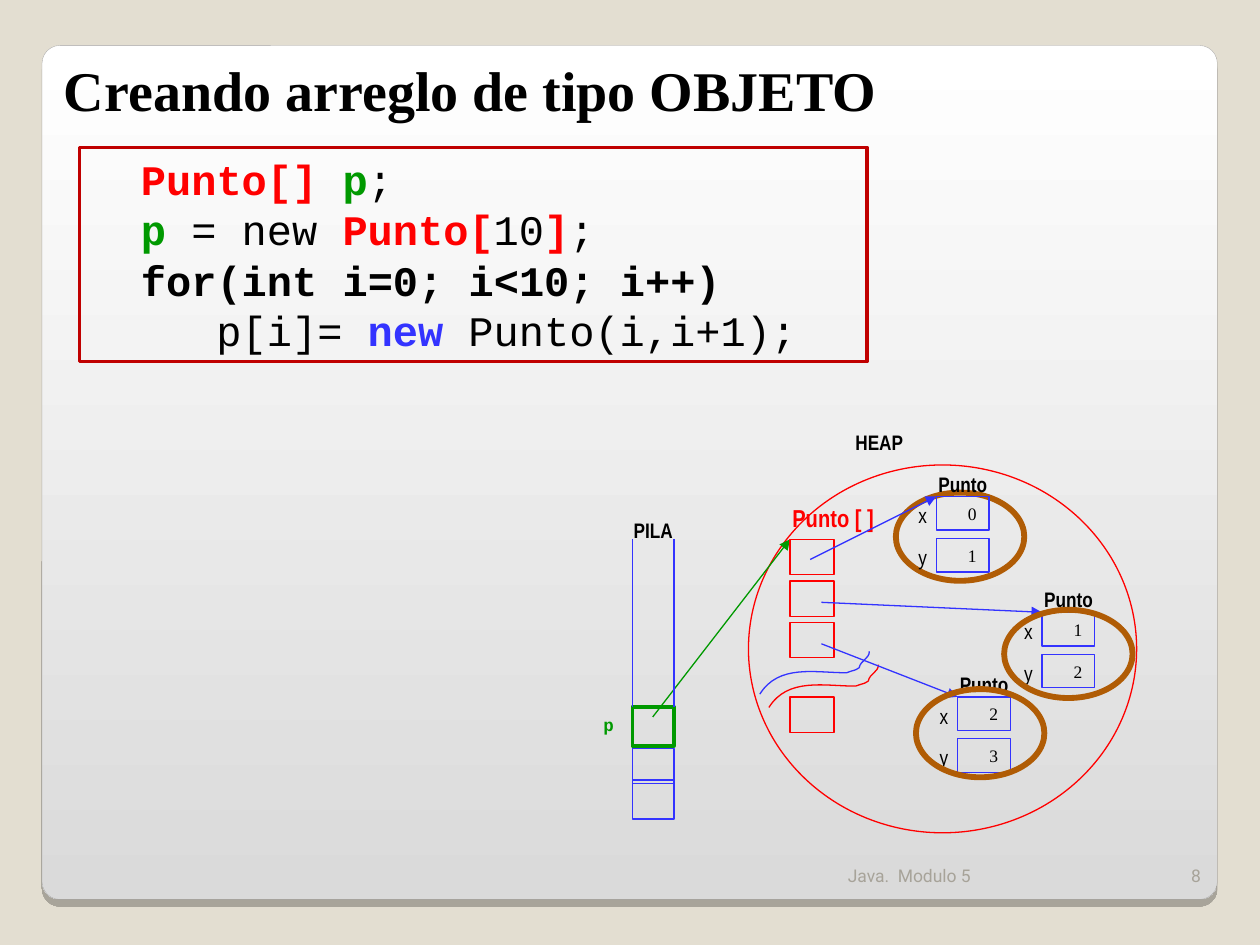
from dataclasses import dataclass

import lxml.etree
import pptx
import pptx.dml.color
import pptx.enum.shapes
import pptx.enum.text
import pptx.oxml
import pptx.oxml.ns
import pptx.util

Pt = pptx.util.Pt
SHAPE = pptx.enum.shapes.MSO_SHAPE
ALIGN = pptx.enum.text.PP_ALIGN
ANCHOR = pptx.enum.text.MSO_ANCHOR
FIT = pptx.enum.text.MSO_AUTO_SIZE
qn = pptx.oxml.ns.qn

COLORS = {
    "page": "E3DED1", "white": "FFFFFF", "gray": "DADADA", "edge": "A4A3A3",
    "footer": "A7A399", "black": "000000", "red": "FF0000", "frame": "C00000",
    "green": "009900", "blue": "3333FF", "brown": "B05C05",
}
ROW_PITCH = 24


@dataclass
class PuntoObject:
    left: float
    top: float
    x: int
    y: int
    ring_left: float
    ring_top: float


@dataclass
class Label:
    text: str
    left: float
    top: float
    width: float
    height: float
    size: float
    font: str = "Arial Narrow"
    color: str = "black"
    bold: bool = True


@dataclass
class Line:
    start: tuple[float, float]
    end: tuple[float, float]
    color: str
    arrow: bool = True


def rgb(color: str) -> pptx.dml.color.RGBColor:
    return pptx.dml.color.RGBColor.from_string(COLORS[color])


def style_font(font, name: str, size: float, color: str, bold: bool = False) -> None:
    font.name, font.size, font.bold = name, Pt(size), bold
    font.color.rgb = rgb(color)


def outline(slide, kind, left, top, width, height, color: str, weight: float = 0.75):
    shape = slide.shapes.add_shape(kind, Pt(left), Pt(top), Pt(width), Pt(height))
    shape.shadow.inherit = False
    shape.fill.background()
    shape.line.color.rgb = rgb(color)
    shape.line.width = Pt(weight)
    return shape


def draw_label(slide, label: Label):
    box = slide.shapes.add_textbox(
        Pt(label.left), Pt(label.top), Pt(label.width), Pt(label.height))
    box.text_frame.word_wrap = False
    box.text_frame.auto_size = FIT.SHAPE_TO_FIT_TEXT
    paragraph = box.text_frame.paragraphs[0]
    paragraph.text = label.text
    style_font(paragraph.font, label.font, label.size, label.color, label.bold)
    return box


def draw_footer(slide, label: Label, align) -> None:
    frame = draw_label(slide, label).text_frame
    frame.auto_size, frame.word_wrap = FIT.NONE, True
    frame.vertical_anchor = ANCHOR.BOTTOM
    frame.paragraphs[0].alignment = align


def draw_line(slide, line: Line) -> None:
    connector = slide.shapes.add_connector(
        pptx.enum.shapes.MSO_CONNECTOR.STRAIGHT,
        *(Pt(value) for value in line.start + line.end))
    connector.line.color.rgb = rgb(line.color)
    connector.line.width = Pt(0.75)
    if line.arrow:
        lxml.etree.SubElement(connector.line._get_or_add_ln(), qn("a:tailEnd"), type="triangle")
    lxml.etree.SubElement(connector._element.spPr, qn("a:effectLst"))


def draw_curve(slide, points: list[tuple[float, float]], color: str) -> None:
    builder = slide.shapes.build_freeform(
        Pt(points[0][0]), Pt(points[0][1]), scale=1.0)
    builder.add_line_segments([(Pt(x), Pt(y)) for x, y in points[1:]], close=False)
    curve = builder.convert_to_shape()
    curve.shadow.inherit = False
    curve.fill.background()
    curve.line.color.rgb = rgb(color)
    curve.line.width = Pt(0.75)
    # Each three line ends become one cubic Bézier segment
    outline_path = next(curve._element.iter(qn("a:path")))
    ends = outline_path.findall(qn("a:lnTo"))
    for first in range(0, len(ends), 3):
        bezier = lxml.etree.SubElement(outline_path, qn("a:cubicBezTo"))
        for end in ends[first:first + 3]:
            bezier.append(end[0])
            outline_path.remove(end)


def draw_ring(slide, punto: PuntoObject) -> None:
    outline(slide, SHAPE.OVAL, punto.ring_left, punto.ring_top, 73.4, 50.4, "brown", 3.34)


def draw_punto(slide, punto: PuntoObject) -> None:
    draw_label(slide, Label("Punto", punto.left - 5.8, punto.top - 18, 44, 21.6, 12))
    for row, (name, value) in enumerate((("x", punto.x), ("y", punto.y))):
        top = punto.top + row * ROW_PITCH
        cell = outline(slide, SHAPE.RECTANGLE, punto.left, top, 30.2, 19.2, "blue")
        cell.text_frame.vertical_anchor = ANCHOR.TOP
        paragraph = cell.text_frame.paragraphs[0]
        paragraph.text = str(value)
        paragraph.alignment = ALIGN.RIGHT
        style_font(paragraph.font, "Times New Roman", 10, "black")
        draw_label(slide, Label(name, punto.left - 17.3, top, 19.4, 21.6, 12, bold=False))


def draw_panel(slide) -> None:
    panel = outline(slide, SHAPE.ROUNDED_RECTANGLE, 24, 26, 671.6, 488, "edge", 0.17)
    panel.adjustments[0] = 0.021
    panel.fill.gradient()
    panel.fill.gradient_angle = 270
    for stop, color in zip(panel.fill.gradient_stops, ("white", "gray")):
        stop.color.rgb = rgb(color)
    shadow = lxml.etree.SubElement(
        panel._element.spPr.find(qn("a:effectLst")), qn("a:outerShdw"),
        blurRad="0", dist=str(Pt(4)), dir="5400000", algn="t", rotWithShape="0")
    tint = lxml.etree.SubElement(shadow, qn("a:srgbClr"), val=COLORS["black"])
    lxml.etree.SubElement(tint, qn("a:alpha"), val="25000")


def draw_code(slide) -> None:
    # Each line: left indent, then (text, colour, bold) runs
    code_lines = [
        (28, [("Punto[] ", "red", True), ("p", "green", True), (";", "black", False)]),
        (28, [("p", "green", True), (" = new ", "black", False), ("Punto[", "red", True),
              ("10", "black", False), ("]", "red", True), (";", "black", False)]),
        (28, [("for(int i=0; i<10; i++)", "black", True)]),
        (71.2, [("p[i]= ", "black", False), ("new", "blue", True),
                (" Punto(i,i+1);", "black", False)]),
    ]
    code = outline(slide, SHAPE.RECTANGLE, 45.4, 84.2, 450, 122.4, "frame", 2).text_frame
    code.vertical_anchor = ANCHOR.TOP
    for number, (indent, runs) in enumerate(code_lines):
        paragraph = code.add_paragraph() if number else code.paragraphs[0]
        paragraph.alignment = ALIGN.LEFT
        properties = paragraph._p.get_or_add_pPr()
        properties.set("marL", str(Pt(indent)))
        properties.set("indent", "0")
        for text, color, bold in runs:
            run = paragraph.add_run()
            run.text = text
            style_font(run.font, "Courier New", 24, color, bold)


def main() -> None:
    deck = pptx.Presentation()
    deck.slide_width, deck.slide_height = Pt(720), Pt(540)
    slide = deck.slides.add_slide(deck.slide_layouts[6])
    slide.background.fill.solid()
    slide.background.fill.fore_color.rgb = rgb("page")

    puntos = [
        PuntoObject(535, 283.7, 0, 1, 511.9, 281.5),
        PuntoObject(595.4, 349.9, 1, 2, 573.8, 348.5),
        PuntoObject(547.2, 398.2, 2, 3, 523.4, 393.8),
    ]

    # Panel, footer and code
    draw_panel(slide)
    draw_ring(slide, puntos[0])
    draw_footer(slide, Label("Java.  Modulo 5", 477.4, 481, 180, 28.8, 10, "Roboto",
                             "footer", False), ALIGN.LEFT)
    draw_footer(slide, Label("8", 657.4, 481, 36, 28.8, 10, "Roboto",
                             "footer", False), ALIGN.RIGHT)
    draw_code(slide)

    # Heap area and stack cells
    outline(slide, SHAPE.OVAL, 427.7, 265.7, 221.8, 210.2, "red")
    for top, height, color, weight in ((427.7, 20.2, "blue", 0.75),
                                       (445.7, 22.3, "blue", 0.75),
                                       (403.9, 22.3, "green", 2)):
        outline(slide, SHAPE.RECTANGLE, 361.4, top, 23.8, height, color, weight)
    draw_line(slide, Line((373, 409.7), (451.4, 308.2), "green"))
    for side in (361.4, 385.2):
        draw_line(slide, Line((side, 308.2), (side, 403.9), "blue", arrow=False))

    # Array slots and area names
    for top in (398.2, 355.7, 332, 308.2):
        outline(slide, SHAPE.RECTANGLE, 451.4, top, 25.2, 20.2, "red")
    for label in (Label("p", 337.7, 404.6, 20.2, 19.4, 10, "Courier New", "green"),
                  Label("PILA", 355, 292.3, 36.7, 21.6, 12),
                  Label("Punto [ ]", 445.7, 283.7, 61.2, 24.5, 14, color="red"),
                  Label("HEAP", 481.7, 241.9, 41.8, 21.6, 12)):
        draw_label(slide, label)

    # Break marks in the array
    wave = [(434.2, 396.7), (445, 379.4), (465.8, 384.5), (483.8, 384.5),
            (489.6, 382.3), (487.4, 383.8), (491, 381.6),
            (491.8, 377.3), (496.8, 376.6), (496.8, 372.2)]
    draw_curve(slide, wave, "blue")
    draw_curve(slide, [(x + 5.2, y + 7.6) for x, y in wave], "red")

    # Objects and the references to them
    for punto in puntos:
        draw_punto(slide, punto)
    for start, punto in zip(((463, 319.7), (469.4, 344.2), (469.4, 367.9)), puntos):
        draw_line(slide, Line(start, (punto.left, punto.top), "blue"))

    # Title and front rings
    draw_label(slide, Label("Creando arreglo de tipo OBJETO", 29.5, 28.1, 480.2, 46.1,
                            32, "Times New Roman"))
    for punto in puntos[1:]:
        draw_ring(slide, punto)

    deck.save("out.pptx")


if __name__ == "__main__":
    main()
